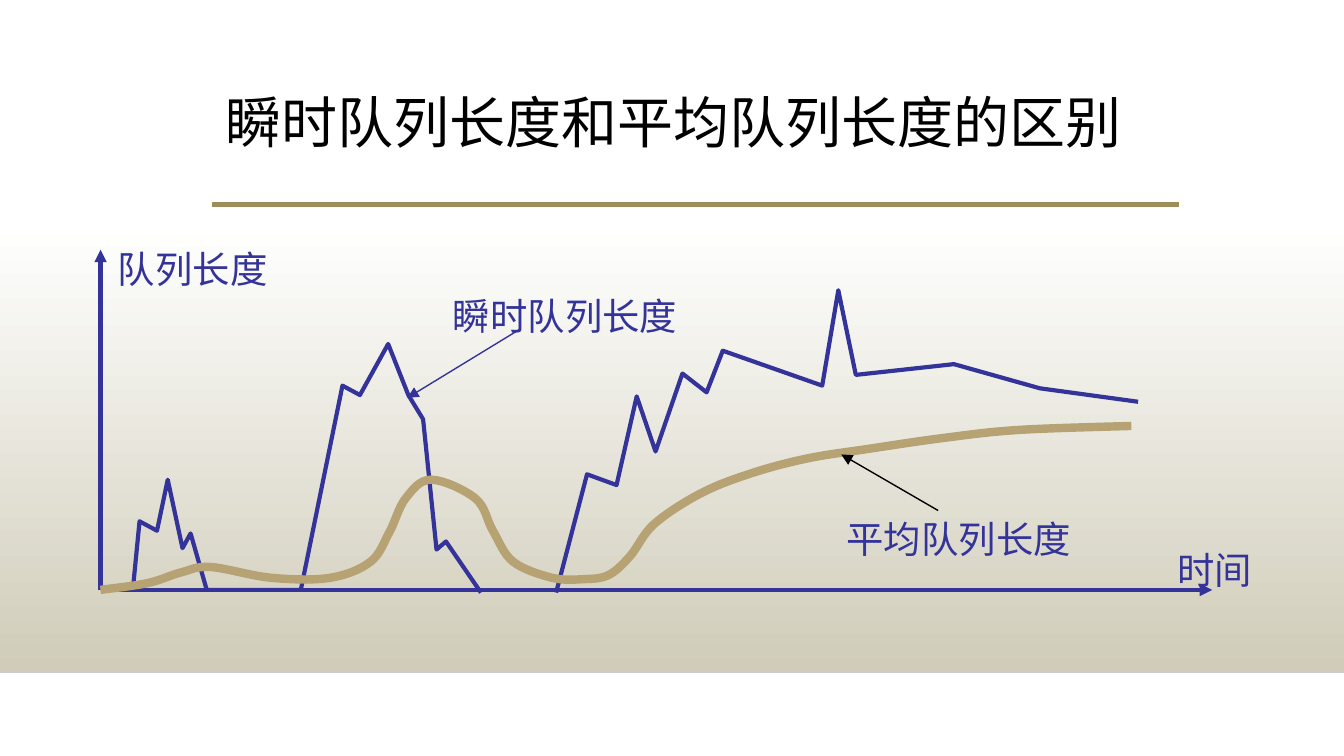
from typing import NamedTuple

import lxml.etree
import pptx
import pptx.dml.color
import pptx.enum.shapes
import pptx.enum.text
import pptx.oxml.ns
import pptx.util

Cm, Pt, qn = pptx.util.Cm, pptx.util.Pt, pptx.oxml.ns.qn
Point = tuple[float, float]

FONT = "Times New Roman"
BLUE, TAN, BLACK = "333399", "B6A272", "000000"
ORIGIN = (1.9, 11.15)  # chart origin, cm
UNIT = 2.54 / 100  # one chart unit, cm


class Line(NamedTuple):
    start: Point
    end: Point
    color: str
    width: float
    arrow: bool = False


class Label(NamedTuple):
    text: str
    left: float
    top: float
    width: float
    height: float = 1.12
    size: float = 20
    color: str = BLUE
    wrap: bool = False
    spacing: float = 1.0


class Curve(NamedTuple):
    points: list[Point]
    color: str
    width: float
    smooth: bool = False


RULES = [
    Line((0, 12.7), (25.4, 12.7), "CCCCCC", 1),
    Line((4.01, 3.86), (22.28, 3.86), "9E8E5C", 2.5),
]
AXES = [
    Line(ORIGIN, (22.91, ORIGIN[1]), BLUE, 2.25, True),
    Line(ORIGIN, (ORIGIN[0], 4.72), BLUE, 2.25, True),
]
POINTERS = [
    Line((9.83, 6.22), (7.7, 7.52), BLUE, 0.75, True),
    Line((17.73, 9.65), (15.9, 8.59), BLACK, 0.75, True),
]
LABELS = [
    Label("瞬时队列长度和平均队列长度的区别", 4.01, 1.68, 18.26, 2.18, 30, BLACK, True, 0.9),
    Label("队列长度", 1.98, 4.52, 3.35),
    Label("时间", 22, 10.21, 1.93),
    Label("瞬时队列长度", 8.31, 5.41, 4.78),
    Label("平均队列长度", 15.75, 9.63, 4.78),
]
# Curve points in chart units from the origin, y upwards
CURVES = [
    Curve([(24, 0), (29, 51), (42, 44), (50, 82), (61, 31), (67, 42), (79, 0),
           (149, 0), (180, 152), (193, 145), (214, 183), (229, 145), (240, 127),
           (250, 30), (257, 36), (283, -2)], BLUE, 2.25),
    Curve([(339, -2), (362, 86), (384, 78), (399, 144), (413, 103), (433, 161),
           (451, 147), (463, 178), (537, 152), (549, 223), (562, 160),
           (635, 168), (699, 150), (772, 140)], BLUE, 2.25),
    Curve([(0, 0), (35, 5), (60, 13), (82, 17), (127, 9), (171, 9), (201, 21),
           (215, 43), (227, 68), (246, 82), (279, 68), (292, 44), (307, 21),
           (336, 9), (360, 8), (378, 11), (394, 25), (412, 49), (447, 72),
           (485, 87), (527, 98), (572, 105), (627, 113), (683, 119),
           (767, 122)], TAN, 4.5, True),
]


def rgb(color: str) -> pptx.dml.color.RGBColor:
    return pptx.dml.color.RGBColor.from_string(color)


def set_line(sp, color: str, width: float) -> None:
    sp.line.color.rgb = rgb(color)
    sp.line.width = Pt(width)


def draw_line(s, line: Line) -> None:
    (x1, y1), (x2, y2) = line.start, line.end
    sp = s.shapes.add_connector(pptx.enum.shapes.MSO_CONNECTOR.STRAIGHT,
                                Cm(x1), Cm(y1), Cm(x2), Cm(y2))
    set_line(sp, line.color, line.width)
    if line.arrow:
        lxml.etree.SubElement(sp.line._get_or_add_ln(), qn("a:tailEnd"), type="triangle")
    lxml.etree.SubElement(sp._element.spPr, qn("a:effectLst"))


def draw_label(s, label: Label) -> None:
    sp = s.shapes.add_textbox(Cm(label.left), Cm(label.top), Cm(label.width), Cm(label.height))
    tf = sp.text_frame
    tf.word_wrap = label.wrap
    tf.vertical_anchor = pptx.enum.text.MSO_ANCHOR.TOP
    p = tf.paragraphs[0]
    p.text = label.text
    p.line_spacing = label.spacing
    p.font.name = FONT
    p.font.size = Pt(label.size)
    p.font.color.rgb = rgb(label.color)


def bezier_points(knots: list[Point]) -> list[Point]:
    """Catmull-Rom spline through the knots, as Bezier control points."""
    padded = [knots[0], *knots, knots[-1]]
    points = [knots[0]]
    for a, b, c, d in zip(padded, padded[1:], padded[2:], padded[3:]):
        points += [(b[0] + (c[0] - a[0]) / 6, b[1] + (c[1] - a[1]) / 6),
                   (c[0] - (d[0] - b[0]) / 6, c[1] - (d[1] - b[1]) / 6), c]
    return points


def draw_curve(s, curve: Curve) -> None:
    points = bezier_points(curve.points) if curve.smooth else curve.points
    emu = [(Cm(ORIGIN[0] + x * UNIT), Cm(ORIGIN[1] - y * UNIT)) for x, y in points]
    builder = s.shapes.build_freeform(*emu[0])
    builder.add_line_segments(emu[1:], close=False)
    sp = builder.convert_to_shape()
    sp.shadow.inherit = False
    sp.fill.background()
    set_line(sp, curve.color, curve.width)
    if curve.smooth:
        # Merge every three line segments into one cubic segment
        for i, segment in enumerate(sp._element.xpath(".//a:lnTo")):
            outline = segment.getparent()
            if i % 3 == 0:
                cubic = lxml.etree.SubElement(outline, qn("a:cubicBezTo"))
            cubic.append(segment[0])
            outline.remove(segment)


def draw_background(s) -> None:
    sp = s.shapes.add_shape(pptx.enum.shapes.MSO_SHAPE.RECTANGLE,
                            Cm(0), Cm(4.19), Cm(25.4), Cm(8.51))
    sp.shadow.inherit = False
    sp.line.fill.background()
    sp.fill.gradient()
    sp.fill.gradient_angle = 270
    for stop, color in zip(sp.fill.gradient_stops, ("FFFFFF", "D0CCB9")):
        stop.color.rgb = rgb(color)


def main() -> None:
    prs = pptx.Presentation()
    prs.slide_width, prs.slide_height = Cm(25.4), Cm(14.29)
    s = prs.slides.add_slide(prs.slide_layouts[6])

    # Background and axes
    draw_background(s)
    for line in RULES + AXES:
        draw_line(s, line)

    # Queue length curves
    for curve in CURVES:
        draw_curve(s, curve)

    # Title, labels and their pointers
    for label in LABELS:
        draw_label(s, label)
    for line in POINTERS:
        draw_line(s, line)

    prs.save("out.pptx")


if __name__ == "__main__":
    main()
